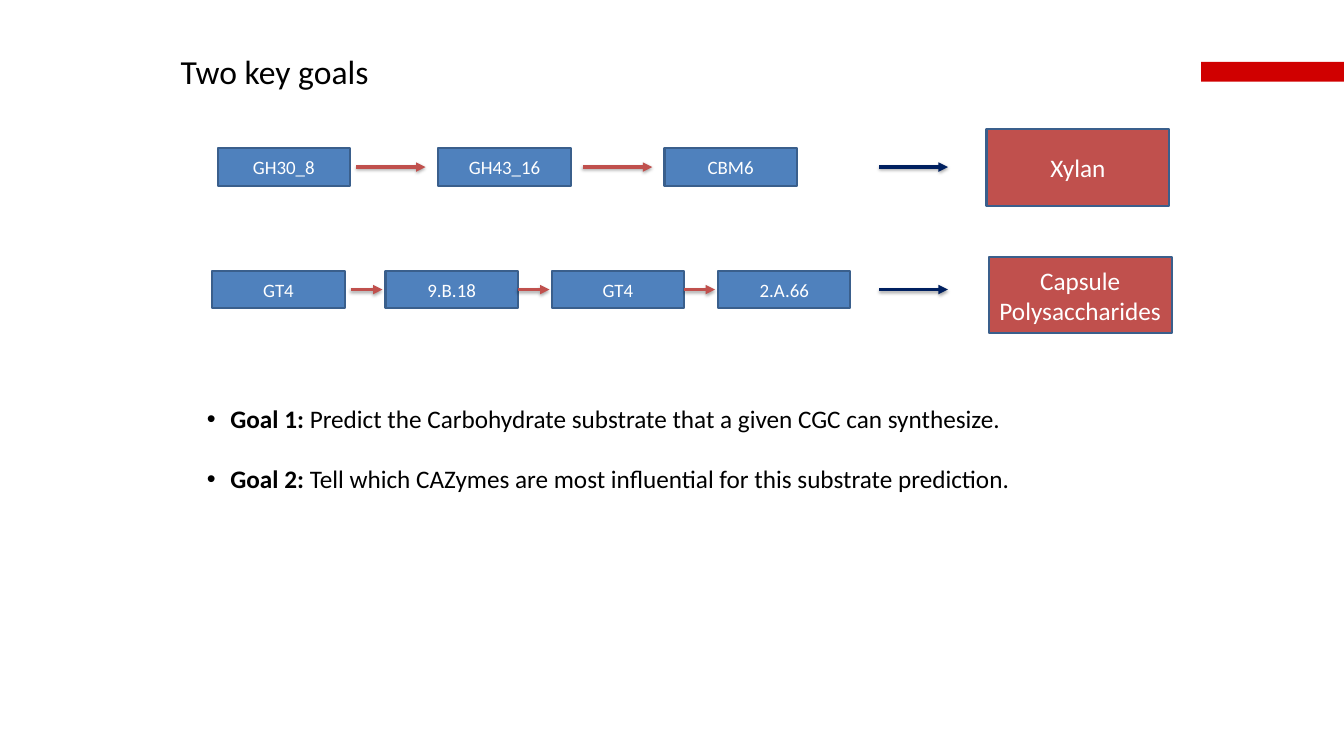
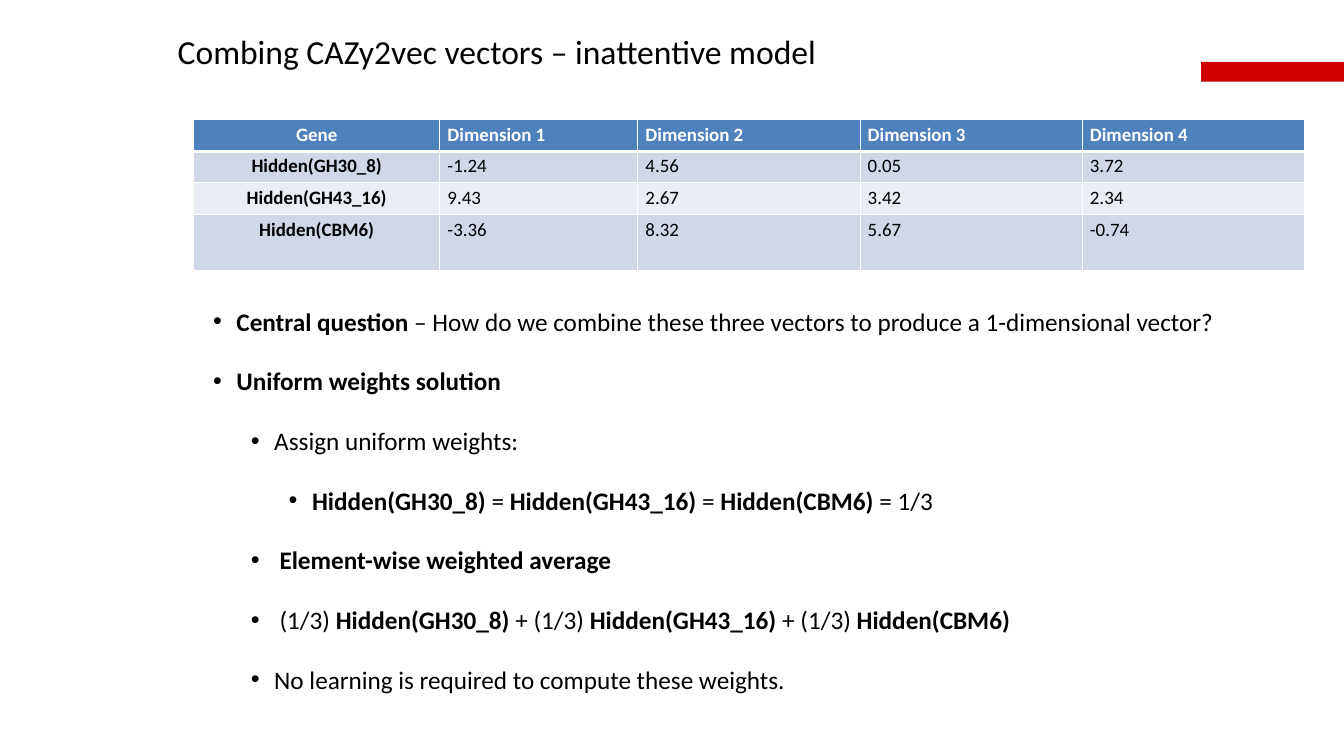
import lxml.etree
import pptx
import pptx.dml.color
import pptx.enum.shapes
import pptx.enum.text
import pptx.oxml.ns
import pptx.util

RGB = pptx.dml.color.RGBColor
Pt = pptx.util.Pt
Align = pptx.enum.text.PP_ALIGN
Anchor = pptx.enum.text.MSO_ANCHOR
qn = pptx.oxml.ns.qn

BLACK = RGB(0x00, 0x00, 0x00)
WHITE = RGB(0xFF, 0xFF, 0xFF)
SCARLET = RGB(0xD0, 0x00, 0x00)
BLUE = RGB(0x4F, 0x81, 0xBD)
EDGE = RGB(0x3A, 0x5F, 0x8C)
BRICK = RGB(0xC0, 0x50, 0x4D)
NAVY = RGB(0x00, 0x20, 0x60)
BANDS = (RGB(0xD0, 0xD8, 0xE8), RGB(0xE9, 0xED, 0xF4))

# Content: text between asterisks is bold; lengths are px, 100 to the inch
GOALS = [
    (0, "*Goal 1:* Predict the Carbohydrate substrate that a given CGC can synthesize."),
    (0, "*Goal 2:* Tell which CAZymes are most influential for this substrate prediction."),
]
# Each chain: top, genes with left edges, arrow spans, product and its place
CHAINS = [
    (196, [("GH30_8", 288), ("GH43_16", 580), ("CBM6", 879)],
     [(471, 563), (771, 863)], ("Xylan", 1305, 171)),
    (358, [("GT4", 281), ("9.B.18", 510), ("GT4", 730), ("2.A.66", 950)],
     [(464, 506), (685, 727), (905, 946)],
     ("Capsule Polysaccharides", 1308, 340)),
]
HEAD = ["Gene"] + [f"Dimension {n}" for n in range(1, 5)]
GENES = [
    ("Hidden(GH30_8)", "-1.24", "4.56", "0.05", "3.72"),
    ("Hidden(GH43_16)", "9.43", "2.67", "3.42", "2.34"),
    ("Hidden(CBM6)", "-3.36", "8.32", "5.67", "-0.74"),
]
COLS = (326, 262, 294, 294, 294)
ROWS = (42, 42, 42, 74)
# Bullet level, text, and optional extra gap after the bullet
STEPS = [
    (0, "*Central question* – How do we combine these three vectors "
        "to produce a 1-dimensional vector?"),
    (0, "*Uniform weights solution*"),
    (1, "Assign uniform weights:"),
    (2, "*Hidden(GH30_8)* = *Hidden(GH43_16)* = *Hidden(CBM6)* = 1/3"),
    (1, "*Element-wise weighted average*", 7),
    (1, "(1/3) *Hidden(GH30_8)* + (1/3) *Hidden(GH43_16)* + (1/3) *Hidden(CBM6)*", 7),
    (1, "No learning is required to compute these weights."),
]

GENE_W, GENE_H = 175, 50
GOAL_W, GOAL_H = 242, 101
LEAD = (1163, 1254)
HANG, STEP = 31, 50
BARE = dict(margin_left=0, margin_top=0, margin_right=0, margin_bottom=0)


def px(n):
    return pptx.util.Emu(n * 9144)


def style(obj, fmt):
    for key, value in fmt.items():
        setattr(obj, key, value)


def node(root, tag, **attrs):
    return lxml.etree.SubElement(root, qn(tag), attrs)


def write(para, text, size, color, bold=False):
    for i, part in enumerate(text.split("*")):
        if part:
            run = para.add_run()
            run.text = part
            style(run.font, dict(name="Calibri", size=Pt(size), bold=bold or i % 2 == 1))
            run.font.color.rgb = color


def text_box(slide, x, y, w, h, **fmt):
    frame = slide.shapes.add_textbox(*map(px, (x, y, w, h))).text_frame
    style(frame, dict(word_wrap=True, **fmt))
    return frame


def rect(slide, x, y, w, h, fill, edge=None):
    kind = pptx.enum.shapes.MSO_SHAPE.RECTANGLE
    box = slide.shapes.add_shape(kind, *map(px, (x, y, w, h)))
    box.shadow.inherit = False
    box.fill.solid()
    box.fill.fore_color.rgb = fill
    if edge is None:
        box.line.fill.background()
    else:
        box.line.color.rgb = edge
        box.line.width = Pt(2)
    return box


def label(slide, text, x, y, w, h, fill, size):
    box = rect(slide, x, y, w, h, fill, EDGE)
    style(box.text_frame, dict(word_wrap=True, vertical_anchor=Anchor.MIDDLE))
    para = box.text_frame.paragraphs[0]
    para.alignment = Align.CENTER
    write(para, text, size, WHITE)
    return box


def arrow(slide, span, y, color):
    kind = pptx.enum.shapes.MSO_CONNECTOR.STRAIGHT
    line = slide.shapes.add_connector(kind, px(span[0]), px(y), px(span[1]), px(y))
    line.line.color.rgb = color
    line.line.width = Pt(3)
    props = line.element.spPr
    node(props.find(qn("a:ln")), "a:tailEnd", type="triangle")
    # Soft shadow below the arrow
    shade = node(node(props, "a:effectLst"), "a:outerShdw", blurRad=str(Pt(3.1)),
                 dist=str(Pt(1.8)), dir="5400000", rotWithShape="0")
    node(node(shade, "a:srgbClr", val=str(BLACK)), "a:alpha", val="35000")
    return line


def bullets(frame, items):
    for i, (level, text, *gap) in enumerate(items):
        para = frame.add_paragraph() if i else frame.paragraphs[0]
        hang = HANG + sum(gap)
        props = para._p.get_or_add_pPr()
        props.set("marL", str(px(level * STEP + hang)))
        props.set("indent", str(px(-hang)))
        node(props, "a:buFont", typeface="Arial")
        node(props, "a:buChar", char="•")
        para.level = level
        if i:
            para.space_before = Pt(28)
        write(para, text, 24, BLACK)


def start(deck, title, x, y):
    slide = deck.slides.add_slide(deck.slide_layouts[6])
    rect(slide, 1589, 82, 189, 26, SCARLET)
    write(text_box(slide, x, y, 1308, 53, **BARE).paragraphs[0], title, 32, BLACK)
    return slide


def chain(slide, top, genes, spans, goal):
    mid = top + GENE_H // 2
    ends = {}
    for name, x in genes:
        ends[x + GENE_W] = label(slide, name, x, top, GENE_W, GENE_H, BLUE, 18)
    for span in spans:
        line = arrow(slide, span, mid, BRICK)
        if span[0] in ends:
            line.begin_connect(ends[span[0]], 3)
    arrow(slide, LEAD, mid, NAVY)
    name, x, y = goal
    label(slide, name, x, y, GOAL_W, GOAL_H, BRICK, 24)


def grid(slide, x, y):
    size = map(px, (x, y, sum(COLS), sum(ROWS)))
    table = slide.shapes.add_table(len(ROWS), len(COLS), *size).table
    table.horz_banding = False
    for col, w in zip(table.columns, COLS):
        col.width = px(w)
    for row, h in zip(table.rows, ROWS):
        row.height = px(h)
    for r, line in enumerate([HEAD] + GENES):
        for c, text in enumerate(line):
            cell = table.cell(r, c)
            # White borders, thicker between head and body
            thick = {(0, "B"): 3, (1, "T"): 3}
            for side in "LRTB":
                edge = node(cell._tc.get_or_add_tcPr(), "a:ln" + side,
                            w=str(Pt(thick.get((r, side), 1))))
                node(node(edge, "a:solidFill"), "a:srgbClr", val=str(WHITE))
            cell.fill.solid()
            cell.fill.fore_color.rgb = BANDS[(r - 1) % 2] if r else BLUE
            para = cell.text_frame.paragraphs[0]
            para.alignment = Align.LEFT if c else Align.CENTER
            write(para, text, 18, BLACK if r else WHITE, bold=r == 0 or c == 0)


def main():
    deck = pptx.Presentation()
    style(deck, dict(slide_width=px(1778), slide_height=px(1000)))

    # Goals
    slide = start(deck, "Two key goals", 239, 67)
    bullets(text_box(slide, 264, 529, 1427, 172), GOALS)
    for row in CHAINS:
        chain(slide, *row)

    # Uniform weights
    slide = start(deck, "Combing CAZy2vec vectors – inattentive model", 235, 41)
    grid(slide, 256, 158)
    bullets(text_box(slide, 272, 400, 1506, 535), STEPS)

    deck.save("out.pptx")


if __name__ == "__main__":
    main()
